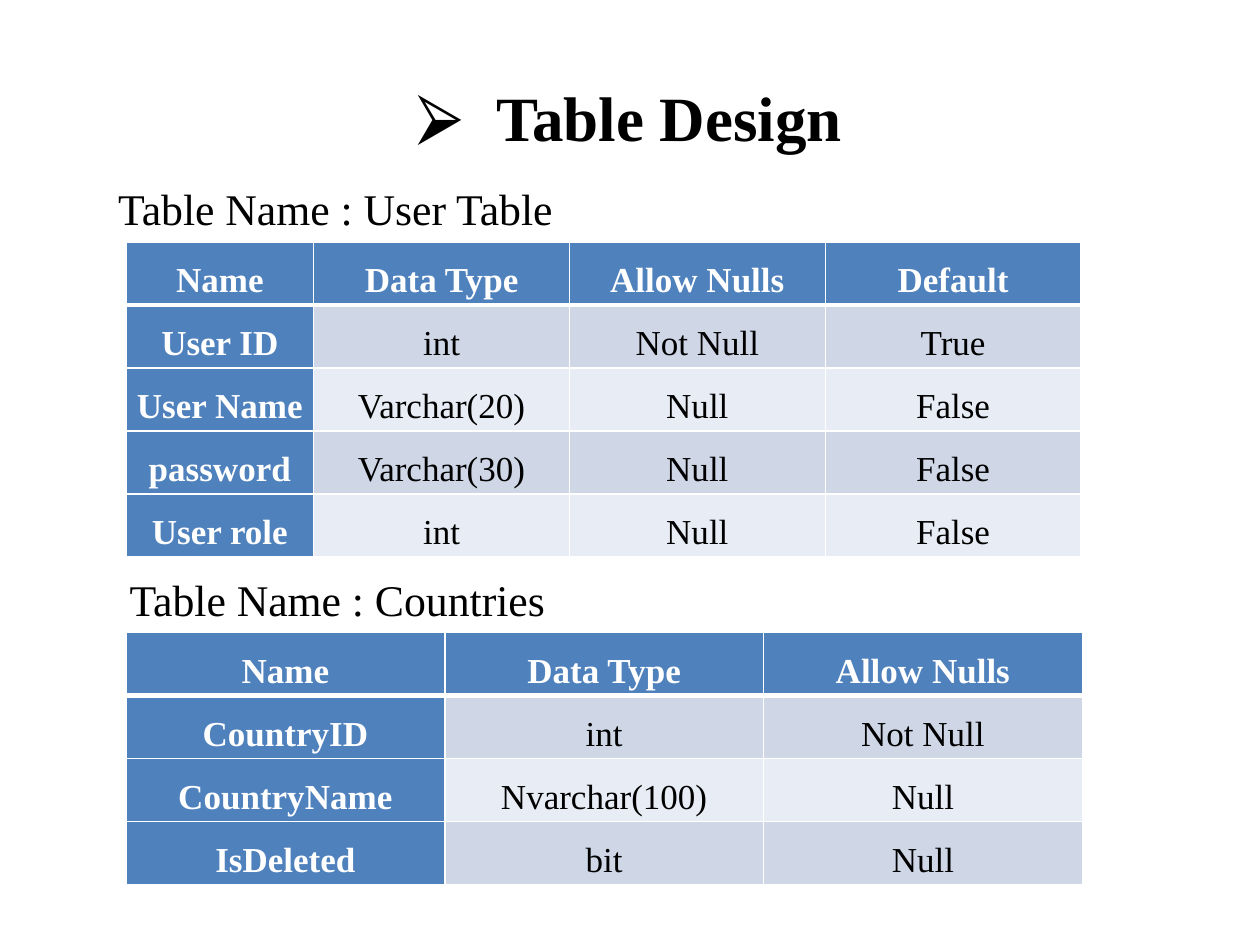
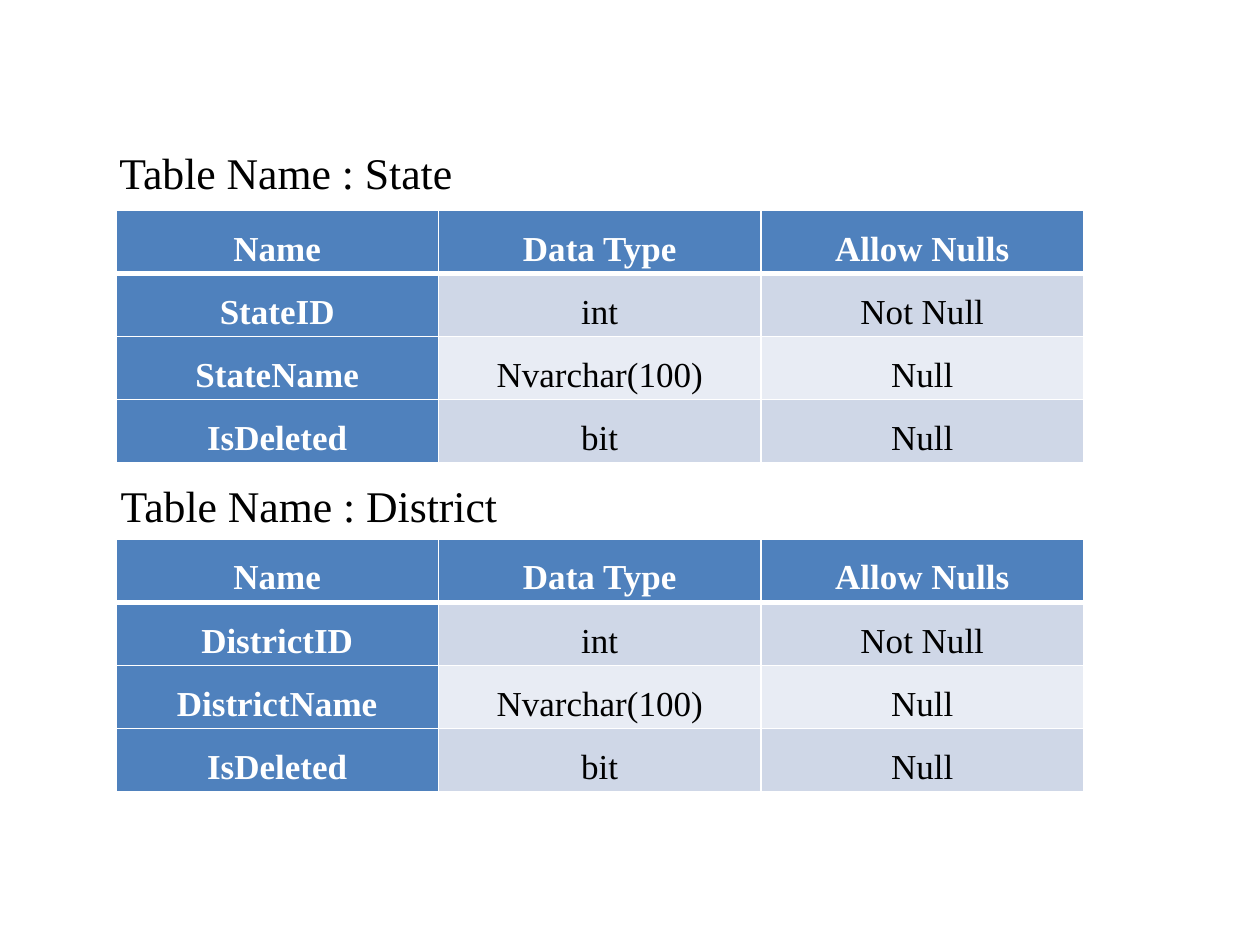
import pptx
import pptx.dml.color
import pptx.enum.text
import pptx.oxml
import pptx.oxml.ns
import pptx.util
from lxml import etree

Inches = pptx.util.Inches
ALIGN = pptx.enum.text.PP_ALIGN
ANCHOR = pptx.enum.text.MSO_ANCHOR

FONT = "Times New Roman"
BLACK = "000000"
WHITE = "FFFFFF"
HEADER = "4F81BD"
BANDS = ("CFD7E7", "E8ECF4")
ROW_HEIGHT = 0.46

COLUMNS = ["Name", "Data Type", "Allow Nulls"]
USER_ROWS = [
    COLUMNS + ["Default"],
    ["User ID", "int", "Not Null", "True"],
    ["User Name", "Varchar(20)", "Null", "False"],
    ["password", "Varchar(30)", "Null", "False"],
    ["User role", "int", "Null", "False"],
]


def lookup_rows(entity):
    """Rows of a lookup table: id, name and deleted flag."""
    return [
        COLUMNS,
        [f"{entity}ID", "int", "Not Null"],
        [f"{entity}Name", "Nvarchar(100)", "Null"],
        ["IsDeleted", "bit", "Null"],
    ]


def rgb(color):
    return pptx.dml.color.RGBColor.from_string(color)


def style_font(paragraph, size, color=BLACK, bold=False):
    font = paragraph.font
    font.name = FONT
    font.size = pptx.util.Pt(size)
    font.bold = bold
    font.color.rgb = rgb(color)


def add_text(slide, box, text, anchor=ANCHOR.TOP):
    shape = slide.shapes.add_textbox(*map(Inches, box))
    frame = shape.text_frame
    frame.word_wrap = True
    frame.vertical_anchor = anchor
    frame.text = text
    return frame.paragraphs[0]


def add_title(slide, box, text):
    paragraph = add_text(slide, box, text, ANCHOR.MIDDLE)
    paragraph.alignment = ALIGN.CENTER
    # Arrow bullet with a hanging indent
    properties = paragraph._p.get_or_add_pPr()
    properties.set("marL", str(Inches(0.62)))
    properties.set("indent", str(Inches(-0.62)))
    tag = pptx.oxml.ns.qn
    bullet_color = etree.SubElement(properties, tag("a:buClr"))
    etree.SubElement(bullet_color, tag("a:srgbClr"), val=BLACK)
    etree.SubElement(properties, tag("a:buFont"), typeface=FONT)
    etree.SubElement(properties, tag("a:buChar"), char="⮚")
    style_font(paragraph, 36, bold=True)


def add_label(slide, box, table_name, indent=0.5):
    paragraph = add_text(slide, box, f"Table Name : {table_name}")
    paragraph._p.get_or_add_pPr().set("indent", str(Inches(indent)))
    style_font(paragraph, 25)


def set_borders(cell, top, bottom):
    properties = cell._tc.get_or_add_tcPr()
    for side, points in (("L", 1), ("R", 1), ("T", top), ("B", bottom)):
        properties.append(pptx.oxml.parse_xml(
            f'<a:ln{side} {pptx.oxml.ns.nsdecls("a")} w="{pptx.util.Pt(points)}">'
            f'<a:solidFill><a:srgbClr val="{WHITE}"/></a:solidFill></a:ln{side}>'))


def style_cell(cell, text, row, column):
    heading = row == 0 or column == 0
    set_borders(cell, top=3 if row == 1 else 1, bottom=3 if row == 0 else 1)
    cell.fill.solid()
    cell.fill.fore_color.rgb = rgb(HEADER if heading else BANDS[(row - 1) % 2])
    cell.margin_left = cell.margin_right = Inches(0.07)
    cell.margin_top = cell.margin_bottom = 0
    cell.text = text
    paragraph = cell.text_frame.paragraphs[0]
    paragraph.alignment = ALIGN.CENTER
    paragraph.line_spacing = 1.5
    style_font(paragraph, 20, WHITE if heading else BLACK, heading)


def add_schema(slide, left, top, widths, rows):
    frame = slide.shapes.add_table(
        len(rows), len(widths), Inches(left), Inches(top),
        Inches(sum(widths)), Inches(ROW_HEIGHT * len(rows)))
    table = frame.table
    table.horz_banding = False
    for column, width in zip(table.columns, widths):
        column.width = Inches(width)
    for row, texts in enumerate(rows):
        table.rows[row].height = Inches(ROW_HEIGHT)
        for column, text in enumerate(texts):
            style_cell(table.cell(row, column), text, row, column)


def build_user_and_countries(slide):
    add_title(slide, (0.5, 0.3, 9, 1.25), "Table Design")
    add_label(slide, (0.34, 1.39, 4.66, 0.52), "User Table")
    add_schema(slide, 1, 1.92, [1.49] + [2.03] * 3, USER_ROWS)
    add_label(slide, (0.08, 4.5, 4.48, 0.52), "Countries", indent=0.85)
    add_schema(slide, 1, 5.02, [2.53] * 3, lookup_rows("Country"))


def build_state_and_district(slide):
    add_label(slide, (0.5, 1.11, 9, 0.52), "State", indent=0.35)
    add_schema(slide, 0.92, 1.67, [2.56] * 3, lookup_rows("State"))
    add_label(slide, (0.36, 3.75, 3.74, 0.52), "District")
    add_schema(slide, 0.92, 4.28, [2.56] * 3, lookup_rows("District"))


def main():
    presentation = pptx.Presentation()
    presentation.slide_width = Inches(10)
    presentation.slide_height = Inches(7.5)
    for build in (build_user_and_countries, build_state_and_district):
        build(presentation.slides.add_slide(presentation.slide_layouts[6]))
    presentation.save("out.pptx")


if __name__ == "__main__":
    main()
